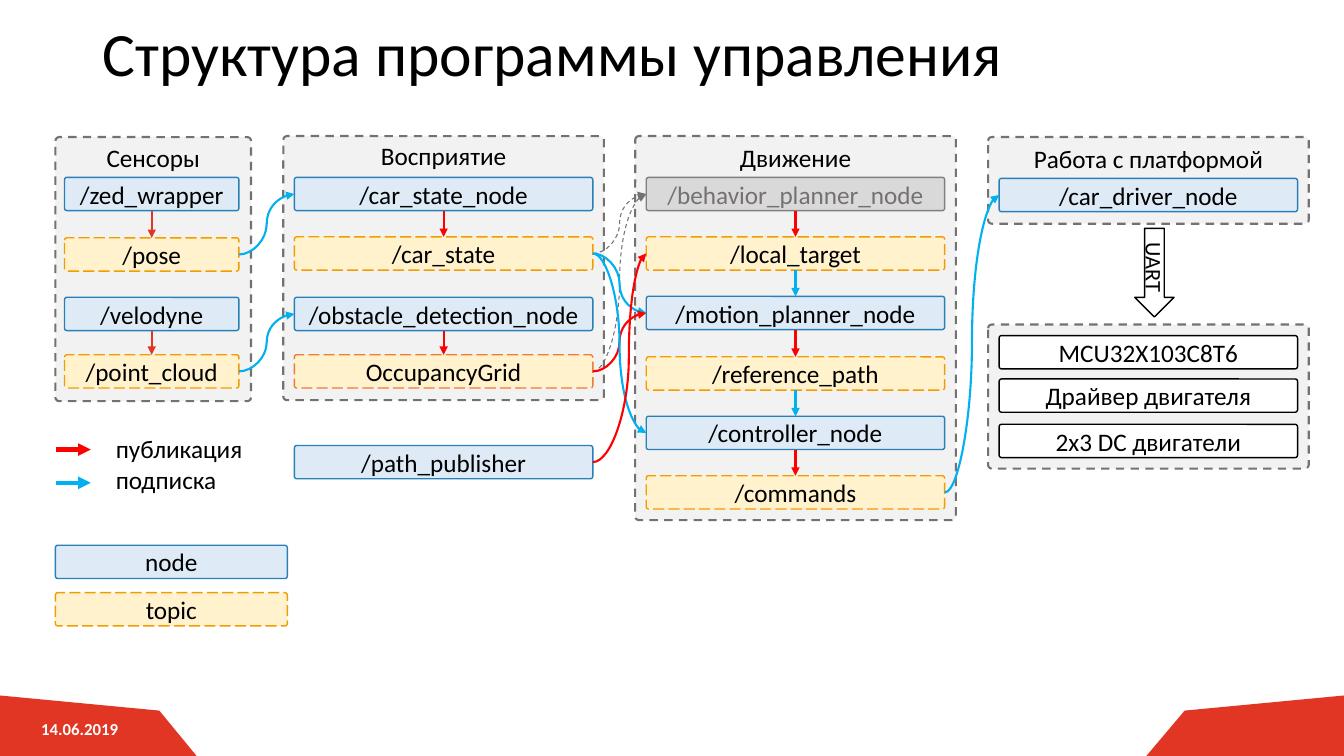
import lxml.etree
import pptx
import pptx.dml.color
import pptx.enum.dml
import pptx.enum.shapes
import pptx.enum.text
import pptx.oxml.ns
import pptx.util

PX = 9144  # EMU in one px, 100 px to the inch
FONT = "Calibri"
HUES = {
    "ink": "000000", "white": "FFFFFF", "brand": "E03623",
    "red": "FF0000", "blue": "00B0F0", "gray": "767171",
    "panel": "F2F2F2", "node": "DEEBF7", "edge": "2980B9",
    "topic": "FFF2CC", "gold": "F39C01", "rust": "ED7D31",
    "idle": "D9D9D9", "rim": "808080",
}
SHAPE = pptx.enum.shapes.MSO_SHAPE
LINK = pptx.enum.shapes.MSO_CONNECTOR
DASH = pptx.enum.dml.MSO_LINE
ALIGN = pptx.enum.text.PP_ALIGN
ANCHOR = pptx.enum.text.MSO_ANCHOR

# Box kinds: fill, line, dash, text colour
KINDS = {
    "node": ("node", "edge", None, "ink"),
    "topic": ("topic", "gold", DASH.LONG_DASH, "ink"),
    "grid": ("topic", "rust", DASH.LONG_DASH, "ink"),
    "idle": ("idle", "rim", None, "gray"),
    "part": ("white", "ink", None, "ink"),
}
# Panels: left, top, width, height, heading, heading top
PANELS = [
    (55, 136, 194, 262, "Сенсоры", 136),
    (281, 135, 318, 262, "Восприятие", 134),
    (630, 135, 318, 381, "Движение", 136),
    (980, 136, 318, 86, "Работа с платформой", 137),
    (980, 322, 318, 143, None, 0),
]
# Boxes by column: left, width, rows of (top, text, kind)
STACKS = [
    (64, 173, [(176, "/zed_wrapper", "node"), (236, "/pose", "topic"),
               (295, "/velodyne", "node"), (352, "/point_cloud", "topic")]),
    (292, 296, [(176, "/car_state_node", "node"), (235, "/car_state", "topic"),
                (295, "/obstacle_detection_node", "node"),
                (352, "OccupancyGrid", "grid"),
                (442, "/path_publisher", "node")]),
    (641, 296, [(176, "/behavior_planner_node", "idle"),
                (235, "/local_target", "topic"),
                (294, "/motion_planner_node", "node"),
                (354, "/reference_path", "topic"),
                (413, "/controller_node", "node"),
                (472, "/commands", "topic")]),
    (991, 296, [(177, "/car_driver_node", "node"),
                (333, "MCU32X103C8T6", "part"),
                (376, "Драйвер двигателя", "part"),
                (421, "2x3 DC двигатели", "part")]),
    (55, 230, [(541, "node", "node"), (588, "topic", "topic")]),
]
# Straight arrows down a column
DROPS = [
    ("/zed_wrapper", "/pose", "brand"),
    ("/velodyne", "/point_cloud", "brand"),
    ("/car_state_node", "/car_state", "red"),
    ("/obstacle_detection_node", "OccupancyGrid", "red"),
    ("/behavior_planner_node", "/local_target", "red"),
    ("/local_target", "/motion_planner_node", "blue"),
    ("/motion_planner_node", "/reference_path", "red"),
    ("/reference_path", "/controller_node", "blue"),
    ("/controller_node", "/commands", "red"),
]
# Curved arrows between columns, with the place of the bend
CURVES = [
    ("/car_state", "/behavior_planner_node", "gray", 50000),
    ("OccupancyGrid", "/behavior_planner_node", "gray", 50000),
    ("/car_state", "/motion_planner_node", "blue", 50000),
    ("OccupancyGrid", "/motion_planner_node", "red", 50000),
    ("/car_state", "/controller_node", "blue", 50000),
    ("/commands", "/car_driver_node", "blue", 50000),
    ("/pose", "/car_state_node", "blue", 50000),
    ("/point_cloud", "/obstacle_detection_node", "blue", 50000),
    ("/path_publisher", "/local_target", "red", 67400),
]


def px(*nums):
    return [pptx.util.Emu(n * PX) for n in nums]


def hue(name):
    return pptx.dml.color.RGBColor.from_string(HUES[name])


def write(frame, text, size=18, color="ink", bold=False,
          align=ALIGN.CENTER, anchor=ANCHOR.MIDDLE):
    frame.word_wrap = True
    frame.vertical_anchor = anchor
    para = frame.paragraphs[0]
    para.alignment = align
    run = para.add_run()
    run.text = text
    run.font.name = FONT
    run.font.size = pptx.util.Pt(size)
    run.font.bold = bold
    run.font.color.rgb = hue(color)
    return para


def label(slide, left, top, wide, high, text, **form):
    write(slide.shapes.add_textbox(*px(left, top, wide, high)).text_frame,
          text, **form)


def paint(shape, fill, line=None, width=1, dash=None):
    shape.shadow.inherit = False
    if fill:
        shape.fill.solid()
        shape.fill.fore_color.rgb = hue(fill)
    else:
        shape.fill.background()
    if line:
        shape.line.color.rgb = hue(line)
        shape.line.width = pptx.util.Pt(width)
        shape.line.dash_style = dash
    else:
        shape.line.fill.background()


def block(slide, left, top, wide, high, curve):
    shape = slide.shapes.add_shape(SHAPE.ROUNDED_RECTANGLE,
                                   *px(left, top, wide, high))
    shape.adjustments[0] = curve / min(wide, high)
    return shape


def panel(slide, left, top, wide, high, head, head_top):
    paint(block(slide, left, top, wide, high, 3.7),
          "panel", "gray", 1.5, DASH.DASH)
    if head:
        label(slide, left, head_top, wide, 40, head, anchor=ANCHOR.TOP)


def box(slide, left, top, wide, text, kind):
    shape = block(slide, left, top, wide, 33, 2.4)
    fill, line, dash, ink = KINDS[kind]
    paint(shape, fill, line, 1, dash)
    write(shape.text_frame, text, color=ink)
    return shape


def arrow(slide, form, color, ends=(0, 0, 0, 0), width=1.5, dash=None):
    line = slide.shapes.add_connector(form, *px(*ends))
    line.line.color.rgb = hue(color)
    line.line.width = pptx.util.Pt(width)
    if dash:
        line.line.dash_style = dash
    qn = pptx.oxml.ns.qn
    lxml.etree.SubElement(line.line._ln, qn("a:tailEnd"), type="triangle")
    lxml.etree.SubElement(line._element.spPr, qn("a:effectLst"))
    return line


def drop(slide, start, end, color):
    line = arrow(slide, LINK.STRAIGHT, color)
    line.begin_connect(start, 2)
    line.end_connect(end, 0)


def bend(slide, start, end, color, spot):
    thin = color == "gray"
    line = arrow(slide, LINK.CURVE, color, width=0.75 if thin else 1.5,
                 dash=DASH.DASH if thin else None)
    line.begin_connect(start, 3)
    line.end_connect(end, 1)
    qn = pptx.oxml.ns.qn
    guides = line._element.spPr.find(qn("a:prstGeom")).find(qn("a:avLst"))
    lxml.etree.SubElement(guides, qn("a:gd"), name="adj1", fmla=f"val {spot}")


def corner(slide, points):
    pen = slide.shapes.build_freeform(*points[0], scale=PX)
    pen.add_line_segments(points[1:], close=True)
    paint(pen.convert_to_shape(), "brand")


def main():
    deck = pptx.Presentation()
    deck.slide_width, deck.slide_height = px(1333, 750)
    slide = deck.slides.add_slide(deck.slide_layouts[5])

    # Title, corners and date
    title = slide.shapes.title
    title.left, title.top, title.width, title.height = px(92, 14, 1150, 84)
    write(title.text_frame, "Структура программы управления", size=44,
          align=ALIGN.LEFT).line_spacing = 0.9
    corner(slide, [(0, 750), (0, 690), (158, 705), (195, 750)])
    corner(slide, [(1333, 750), (1333, 690), (1175, 705), (1137, 750)])
    label(slide, 0, 695, 158, 55, "14.06.2019", size=12, color="white",
          bold=True)

    # Legend of arrows
    for mid, top, text, color in [(446, 425, "публикация", "red"),
                                  (479, 456, "подписка", "blue")]:
        arrow(slide, LINK.STRAIGHT, color, (56, mid, 90, mid), width=3)
        label(slide, 105, top, 181, 40, text, align=ALIGN.LEFT,
              anchor=ANCHOR.TOP)

    # Panels and boxes
    for item in PANELS:
        panel(slide, *item)
    boxes = {}
    for left, wide, rows in STACKS:
        for top, text, kind in rows:
            boxes[text] = box(slide, left, top, wide, text, kind)

    # Arrows between boxes
    for start, end, color in DROPS:
        drop(slide, boxes[start], boxes[end], color)
    for start, end, color, spot in CURVES:
        bend(slide, boxes[start], boxes[end], color, spot)

    # Serial link to the board
    port = slide.shapes.add_shape(SHAPE.RIGHT_ARROW, *px(1101, 251, 88, 39))
    port.rotation = 90
    paint(port, None, "ink")
    write(port.text_frame, "UART", size=16)

    deck.save("out.pptx")


if __name__ == "__main__":
    main()
